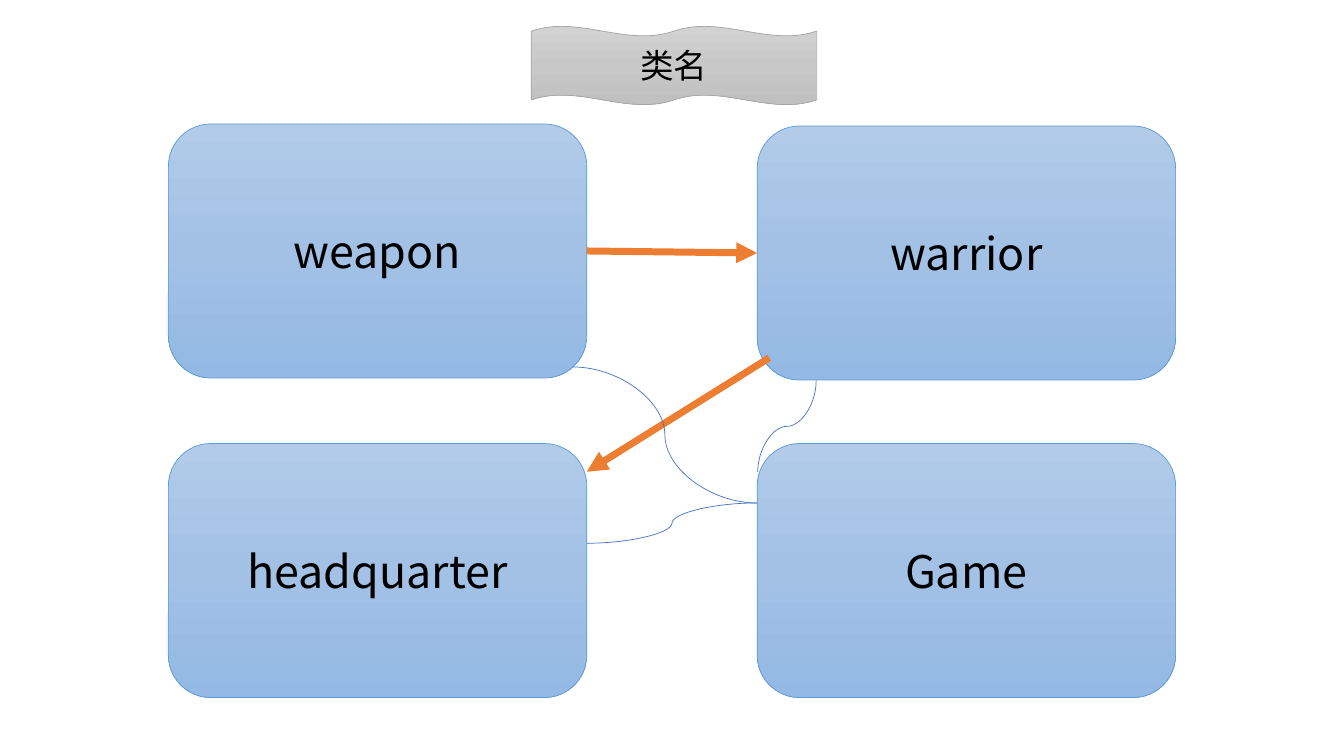
from copy import deepcopy

from lxml.etree import SubElement
from pptx import Presentation
from pptx.dml.color import RGBColor
from pptx.enum.shapes import MSO_CONNECTOR, MSO_SHAPE
from pptx.enum.text import MSO_ANCHOR, PP_ALIGN
from pptx.oxml.ns import qn
from pptx.util import Inches, Pt

COLORS = {
    "blue_top": "B1CBE9", "blue_mid": "A3C1E5", "blue_low": "93B9E4", "blue_edge": "5B9BD5",
    "gray_top": "D2D2D2", "gray_mid": "C8C8C8", "gray_low": "C0C0C0", "gray_edge": "A5A5A5",
    "text": "000000", "arrow": "ED7D31", "curve": "4472C4",
}
CLASS_FONT = {"name": "Noto Sans CJK SC", "size": Pt(32)}
TITLE_FONT = {"name": "Noto Sans CJK JP", "size": Pt(24)}


def color(name):
    return RGBColor.from_string(COLORS[name])


def add_panel(kind, box, text, tone, font_format):
    panel = slide.shapes.add_shape(kind, *map(Inches, box))
    panel.shadow.inherit = False
    panel.line.color.rgb = color(f"{tone}_edge")
    panel.line.width = Pt(0.5)

    # Three-stop gradient running from top to bottom
    panel.fill.gradient()
    panel.fill.gradient_angle = 270
    stop_list = panel._element.spPr.find(".//" + qn("a:gsLst"))
    stop_list.insert(1, deepcopy(stop_list[0]))
    levels = zip(panel.fill.gradient_stops, (0, 0.5, 1), ("top", "mid", "low"))
    for stop, position, level in levels:
        stop.position = position
        stop.color.rgb = color(f"{tone}_{level}")

    # Centred label
    panel.text_frame.vertical_anchor = MSO_ANCHOR.MIDDLE
    paragraph = panel.text_frame.paragraphs[0]
    paragraph.alignment = PP_ALIGN.CENTER
    label = paragraph.add_run()
    label.text = text
    for attribute, value in font_format.items():
        setattr(label.font, attribute, value)
    label.font.color.rgb = color("text")
    SubElement(label._r.rPr, qn("a:ea"), typeface=font_format["name"])
    return panel


def add_link(kind, ends, color_name, width):
    link = slide.shapes.add_connector(kind, *map(Inches, ends))
    link.line.color.rgb = color(color_name)
    link.line.width = Pt(width)
    SubElement(link._element.spPr, qn("a:effectLst"))
    return link


presentation = Presentation()
presentation.slide_width = Inches(13.33)
presentation.slide_height = Inches(7.5)
slide = presentation.slides.add_slide(presentation.slide_layouts[6])

# Class boxes
LEFT, RIGHT = 1.67, 7.51
classes = {}
for name, left, top in (
    ("weapon", LEFT, 1.23),
    ("warrior", RIGHT, 1.25),
    ("headquarter", LEFT, 4.4),
    ("Game", RIGHT, 4.4),
):
    classes[name] = add_panel(
        MSO_SHAPE.ROUNDED_RECTANGLE, (left, top, 4.15, 2.52), name, "blue", CLASS_FONT
    )

# Title banner
add_panel(MSO_SHAPE.DOUBLE_WAVE, (5.27, 0.26, 2.83, 0.78), "类名", "gray", TITLE_FONT)

# Orange arrows: weapon to warrior, warrior to headquarter
weapon_arrow = add_link(MSO_CONNECTOR.STRAIGHT, (5.82, 2.54, 7.51, 2.54), "arrow", 5)
weapon_arrow.begin_connect(classes["weapon"], 3)
weapon_arrow.end_connect(classes["warrior"], 1)
warrior_arrow = add_link(MSO_CONNECTOR.STRAIGHT, (7.63, 3.55, 5.82, 4.68), "arrow", 5)
for arrow in (weapon_arrow, warrior_arrow):
    SubElement(arrow.line._get_or_add_ln(), qn("a:tailEnd"), type="triangle")

# Thin curves from each class to Game
warrior_curve = add_link(MSO_CONNECTOR.CURVE, (7.35, 3.94, 8.26, 4.52), "curve", 0.5)
warrior_curve._element.spPr.xfrm.set("rot", str(90 * 60000))
for ends in ((5.68, 3.64, 7.51, 4.99), (5.82, 5.39, 7.51, 4.99)):
    add_link(MSO_CONNECTOR.CURVE, ends, "curve", 0.5)

presentation.save("out.pptx")
